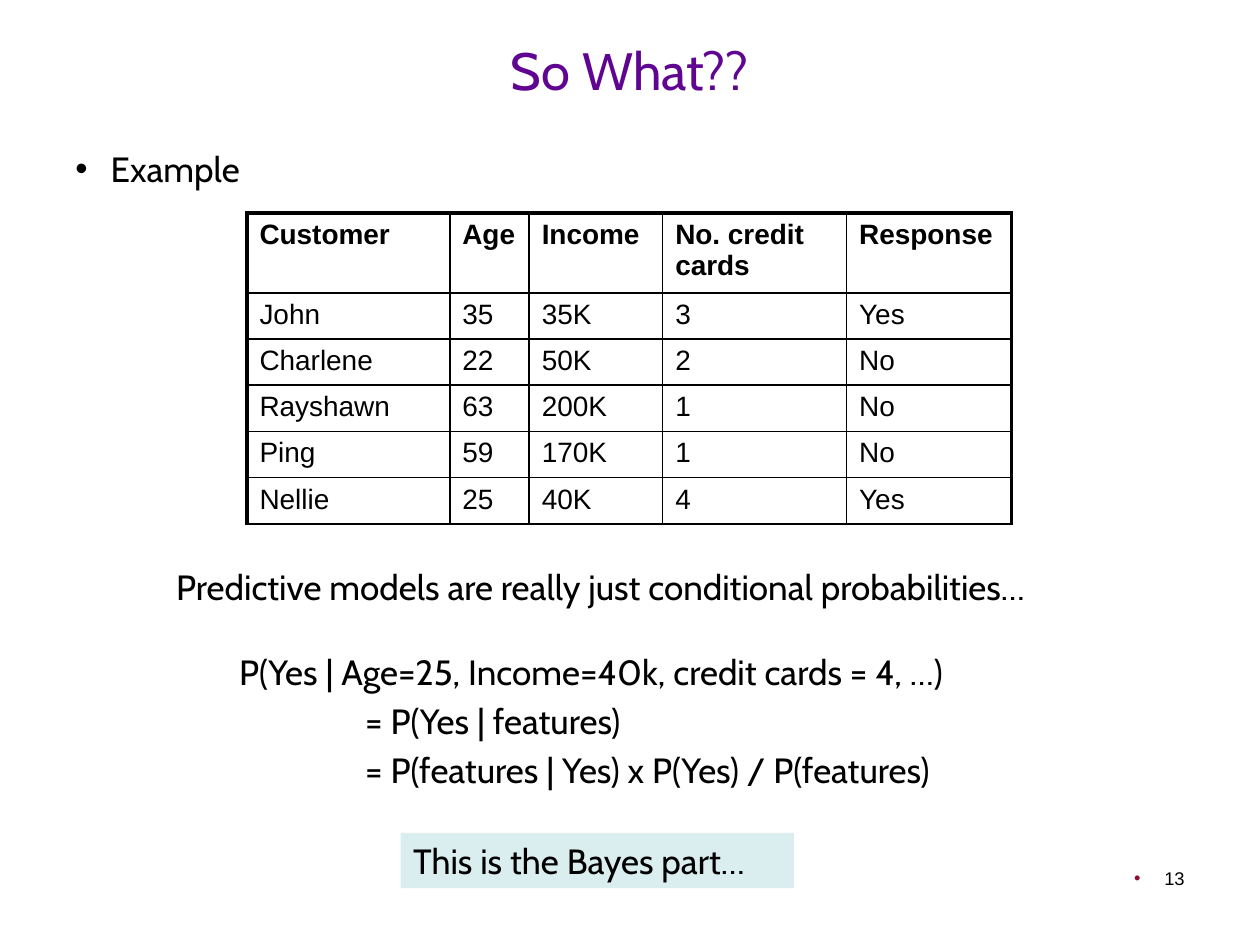
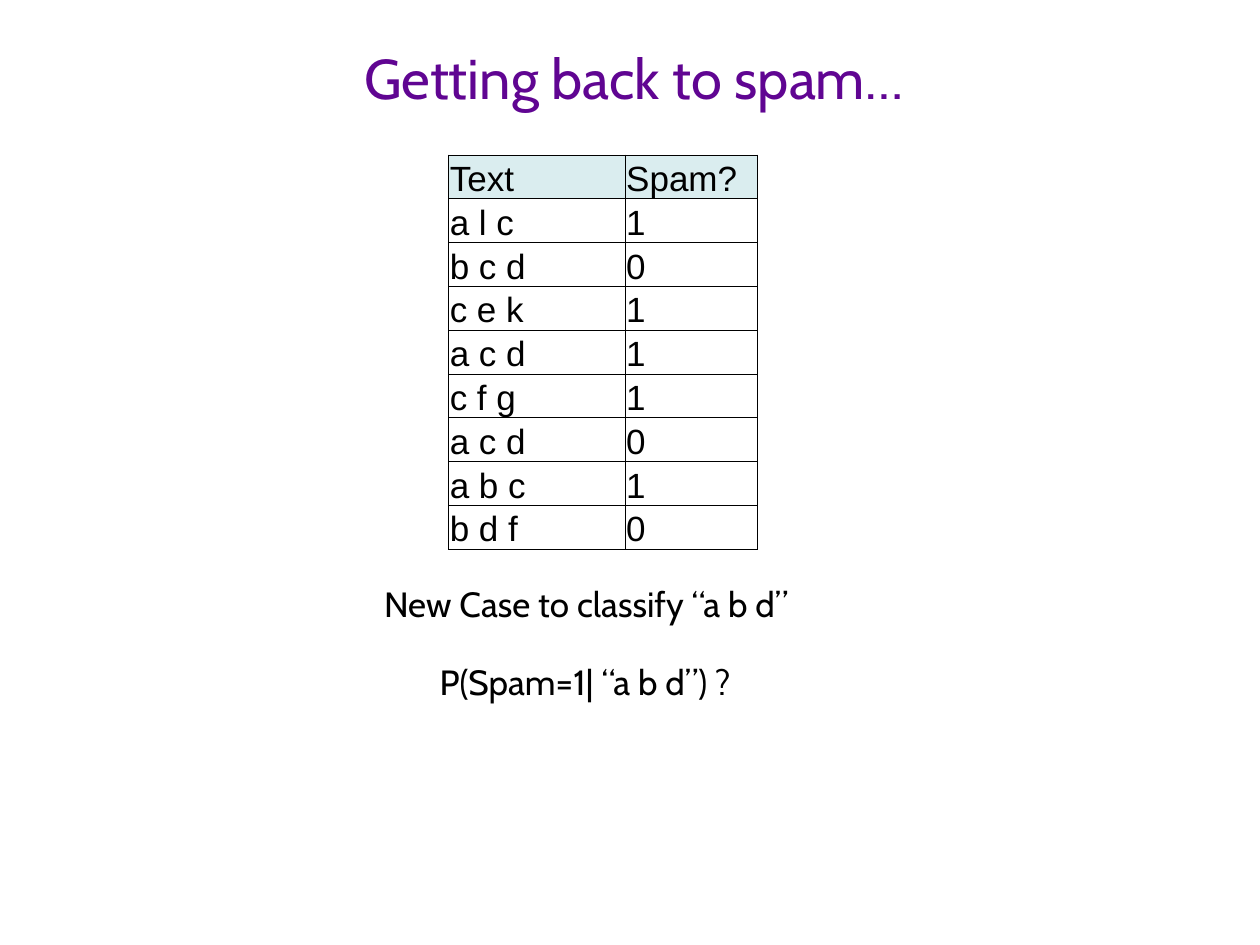
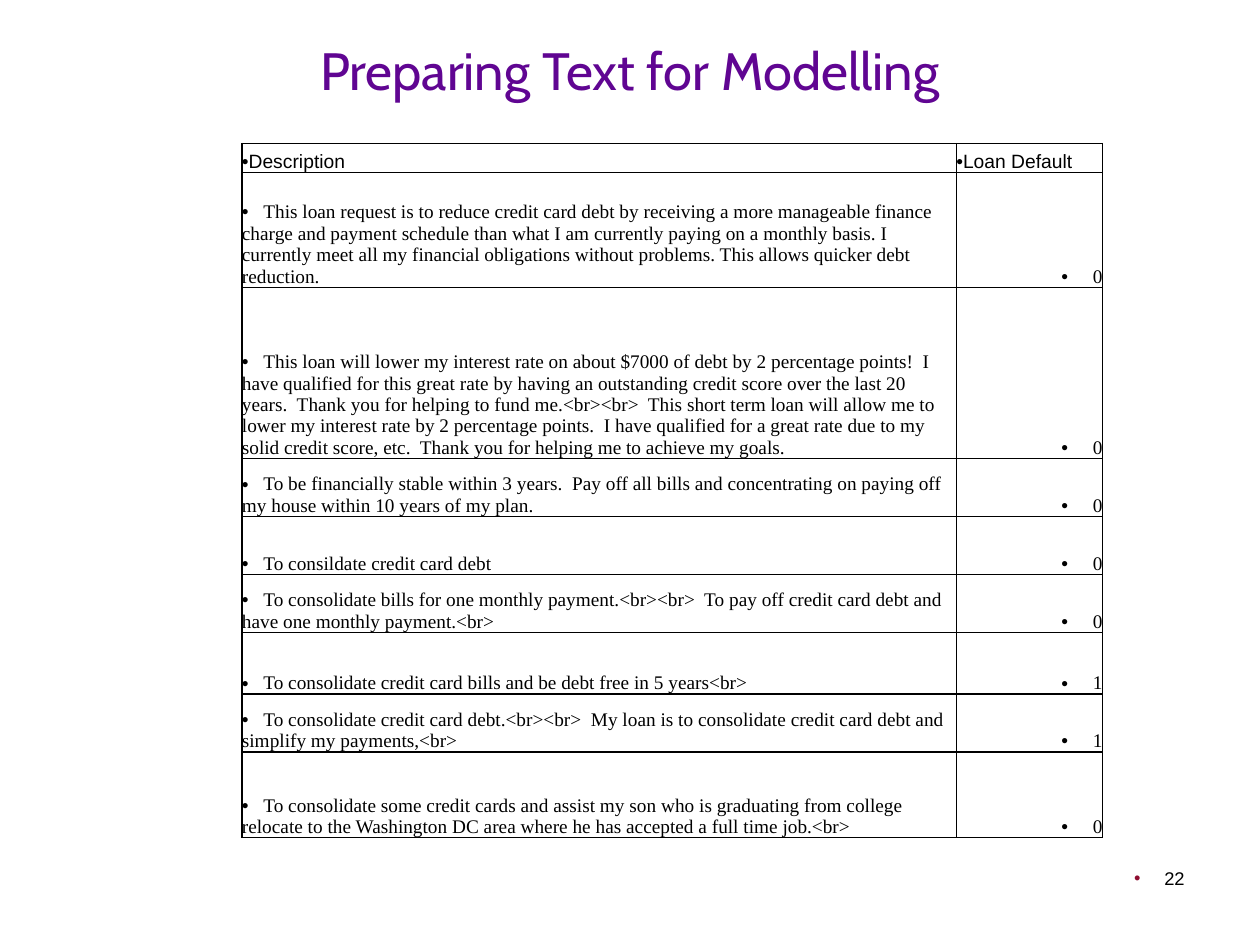
import dataclasses

import lxml.etree
import pptx
import pptx.dml.color
import pptx.enum.shapes
import pptx.enum.text
import pptx.oxml.ns
import pptx.util

ALIGN = pptx.enum.text.PP_ALIGN
ANCHOR = pptx.enum.text.MSO_ANCHOR


@dataclasses.dataclass(frozen=True)
class Theme:
    width: int = pptx.util.Inches(10)
    height: int = pptx.util.Inches(7.5)
    columns: int = 100
    rows: int = 75
    purple: str = "600592"
    maroon: str = "8E0D30"
    pale: str = "DAEDEF"
    black: str = "000000"
    white: str = "FFFFFF"
    heading_font: str = "Cabin"
    table_font: str = "Arial"
    loan_font: str = "Times New Roman"
    title_size: float = 30
    large_title_size: float = 32
    body_size: float = 20
    table_size: float = 16
    loan_size: float = 11
    number_size: float = 10.5
    spacing: float = 0.2


THEME = Theme()

CUSTOMERS = [
    ["Customer", "Age", "Income", "No. credit cards", "Response"],
    ["John", "35", "35K", "3", "Yes"],
    ["Charlene", "22", "50K", "2", "No"],
    ["Rayshawn", "63", "200K", "1", "No"],
    ["Ping", "59", "170K", "1", "No"],
    ["Nellie", "25", "40K", "4", "Yes"],
]

MESSAGES = [
    ["Text", "Spam?"],
    ["a l c", "1"],
    ["b c d", "0"],
    ["c e k", "1"],
    ["a c d", "1"],
    ["c f g", "1"],
    ["a c d", "0"],
    ["a b c", "1"],
    ["b d f", "0"],
]

LOANS = [
    ["Description", "Loan Default"],
    ["This loan request is to reduce credit card debt by receiving a more manageable "
     "finance charge and payment schedule than what I am currently paying on a monthly "
     "basis. I currently meet all my financial obligations without problems. This allows "
     "quicker debt reduction.", "0"],
    ["This loan will lower my interest rate on about $7000 of debt by 2 percentage "
     "points!  I have qualified for this great rate by having an outstanding credit score "
     "over the last 20 years.  Thank you for helping to fund me.<br><br>  This short term "
     "loan will allow me to lower my interest rate by 2 percentage points.  I have "
     "qualified for a great rate due to my solid credit score, etc.  Thank you for helping "
     "me to achieve my goals.", "0"],
    ["To be financially stable within 3 years.  Pay off all bills and concentrating on "
     "paying off my house within 10 years of my plan.", "0"],
    ["To consildate credit card debt", "0"],
    ["To consolidate bills for one monthly payment.<br><br>  To pay off credit card debt "
     "and have one monthly payment.<br>", "0"],
    ["To consolidate credit card bills and be debt free in 5 years<br>", "1"],
    ["To consolidate credit card debt.<br><br>  My loan is to consolidate credit card debt "
     "and simplify my payments,<br>", "1"],
    ["To consolidate some credit cards and assist my son who is graduating from college "
     "relocate to the Washington DC area where he has accepted a full time job.<br>", "0"],
]


def across(columns):
    return round(THEME.width * columns / THEME.columns)


def down(rows):
    return round(THEME.height * rows / THEME.rows)


def place(left, top, width, height):
    return across(left), down(top), across(width), down(height)


def colour(value):
    return pptx.dml.color.RGBColor.from_string(value)


def apply(target, values):
    for name, value in values.items():
        setattr(target, name, value)


def add_xml(parent, tag, **attributes):
    return lxml.etree.SubElement(parent, pptx.oxml.ns.qn(tag), attributes)


def write(para, text, size=THEME.body_size, font=THEME.heading_font,
          tint=THEME.black, bold=False, align=ALIGN.LEFT):
    apply(para, {"alignment": align,
                 "space_before": pptx.util.Pt(size * THEME.spacing)})
    span = para.add_run()
    span.text = text
    apply(span.font, {"size": pptx.util.Pt(size), "name": font, "bold": bold})
    span.font.color.rgb = colour(tint)


def indent(para, margin, first=0):
    properties = para._p.get_or_add_pPr()
    properties.set("marL", str(across(margin)))
    properties.set("indent", str(across(first)))
    return properties


def add_bullet(para, hang=0, tint=THEME.black, tab=None):
    properties = indent(para, hang, -hang)
    add_xml(add_xml(properties, "a:buClr"), "a:srgbClr", val=tint)
    add_xml(properties, "a:buFont", typeface=THEME.table_font)
    add_xml(properties, "a:buChar", char="•")
    if tab:
        stops = add_xml(properties, "a:tabLst")
        add_xml(stops, "a:tab", pos=str(across(tab)), algn="l")


def add_text(page, area, lines, anchor=ANCHOR.TOP, **style):
    box = page.shapes.add_textbox(*place(*area))
    apply(box.text_frame, {"word_wrap": True, "vertical_anchor": anchor})
    for index, line in enumerate(lines):
        para = box.text_frame.paragraphs[0] if index == 0 else box.text_frame.add_paragraph()
        write(para, line, **style)
    return box.text_frame.paragraphs


def add_title(page, text, area=(5, 1.5, 90, 8), size=THEME.title_size):
    add_text(page, area, [text], ANCHOR.MIDDLE, size=size,
             tint=THEME.purple, align=ALIGN.CENTER)


def add_page_number(page, number):
    paras = add_text(page, (71.7, 68.3, 23.3, 5.2), [number], size=THEME.number_size,
                     font=THEME.table_font, align=ALIGN.RIGHT)
    add_bullet(paras[0], 2.4, THEME.maroon)


def add_callout(page, area, text):
    box = page.shapes.add_shape(pptx.enum.shapes.MSO_SHAPE.RECTANGLE, *place(*area))
    box.shadow.inherit = False
    box.fill.solid()
    box.fill.fore_color.rgb = colour(THEME.pale)
    box.line.fill.background()
    apply(box.text_frame, {"word_wrap": True, "vertical_anchor": ANCHOR.TOP})
    write(box.text_frame.paragraphs[0], text)


def set_borders(cell, widths):
    properties = cell._tc.get_or_add_tcPr()
    for index, (side, width) in enumerate(widths.items()):
        line = add_xml(properties, "a:ln" + side, w=str(pptx.util.Pt(width)))
        add_xml(add_xml(line, "a:solidFill"), "a:srgbClr", val=THEME.black)
        properties.insert(index, line)


def add_grid(page, left, top, widths, heights, records, fill_cell, edge=1, frame=None):
    frame = frame or edge
    area = place(left, top, sum(widths), sum(heights))
    table = page.shapes.add_table(len(records), len(widths), *area).table
    apply(table, {"first_row": False, "horz_banding": False})
    for column, width in zip(table.columns, widths):
        column.width = across(width)
    for row, height in zip(table.rows, heights):
        row.height = down(height)
    for row, record in enumerate(records):
        for column, text in enumerate(record):
            cell = table.cell(row, column)
            fill_cell(cell, row, column, text)
            set_borders(cell, {
                "L": edge if column else frame,
                "R": edge if column < len(widths) - 1 else frame,
                "T": edge if row else frame,
                "B": edge,
            })


def paint(cell, tint):
    if tint:
        cell.fill.solid()
        cell.fill.fore_color.rgb = colour(tint)
    else:
        cell.fill.background()


def settle(cell, inset):
    apply(cell, {"vertical_anchor": ANCHOR.BOTTOM, "margin_left": across(inset),
                 "margin_right": across(inset), "margin_top": down(inset),
                 "margin_bottom": 0})


def fill_customer(cell, row, column, text):
    paint(cell, None)
    write(cell.text_frame.paragraphs[0], text, THEME.table_size, THEME.table_font,
          bold=row == 0)


def fill_message(cell, row, column, text):
    paint(cell, None if row else THEME.pale)
    settle(cell, 0.1)
    write(cell.text_frame.paragraphs[0], text, font=THEME.table_font)


def fill_loan(cell, row, column, text):
    paint(cell, THEME.white)
    settle(cell, 0)
    para = cell.text_frame.paragraphs[0]
    if row == 0:
        write(para, text, THEME.loan_size, THEME.table_font)
        add_bullet(para)
    elif column == 0:
        write(para, "\t" + text, THEME.loan_size, THEME.loan_font)
        add_bullet(para, tab=1.7)
    else:
        write(para, text, THEME.loan_size, THEME.loan_font, align=ALIGN.RIGHT)
        add_bullet(para, 2.5)


def build_example(page):
    add_title(page, "So What??")
    add_bullet(add_text(page, (5, 11.2, 91.9, 13.3), ["Example"])[0], 2.8)
    add_page_number(page, "13")
    add_grid(page, 19.6, 16.9, [16.1, 6.3, 10.6, 14.6, 13.1], [6] + [3.5] * 5,
             CUSTOMERS, fill_customer, frame=2.25)
    formula = add_text(page, (18, 51.1, 65.3, 13), [
        "P(Yes | Age=25, Income=40k, credit cards = 4, …)",
        "= P(Yes | features)",
        "= P(features | Yes) x P(Yes) / P(features)",
    ])
    for para in formula[1:]:
        indent(para, 10)
    add_text(page, (13, 44.4, 74, 4.4),
             ["Predictive models are really just conditional probabilities…"])
    add_callout(page, (31.8, 66.1, 31.2, 4.4), "This is the Bayes part…")


def build_spam(page):
    add_title(page, "Getting back to spam…", (5.7, 1.1, 89.2, 10), THEME.large_title_size)
    add_text(page, (29.5, 45.7, 36.7, 4.4), ["New Case to classify “a b d”"])
    add_text(page, (33.9, 51.9, 28.9, 4.4), ["P(Spam=1| “a b d”) ?"])
    add_grid(page, 35.6, 12.3, [14, 10.5], [31.3 / len(MESSAGES)] * len(MESSAGES),
             MESSAGES, fill_message, edge=0.5)


def build_loans(page):
    add_title(page, "Preparing Text for Modelling")
    add_page_number(page, "22")
    add_grid(page, 19.2, 11.4, [56.7, 11.6],
             [2.3, 9.1, 13.6, 4.6, 4.6, 4.6, 4.9, 4.6, 6.8], LOANS, fill_loan)


def main():
    deck = pptx.Presentation()
    apply(deck, {"slide_width": THEME.width, "slide_height": THEME.height})
    for build in (build_example, build_spam, build_loans):
        build(deck.slides.add_slide(deck.slide_layouts[6]))
    deck.save("out.pptx")


if __name__ == "__main__":
    main()
